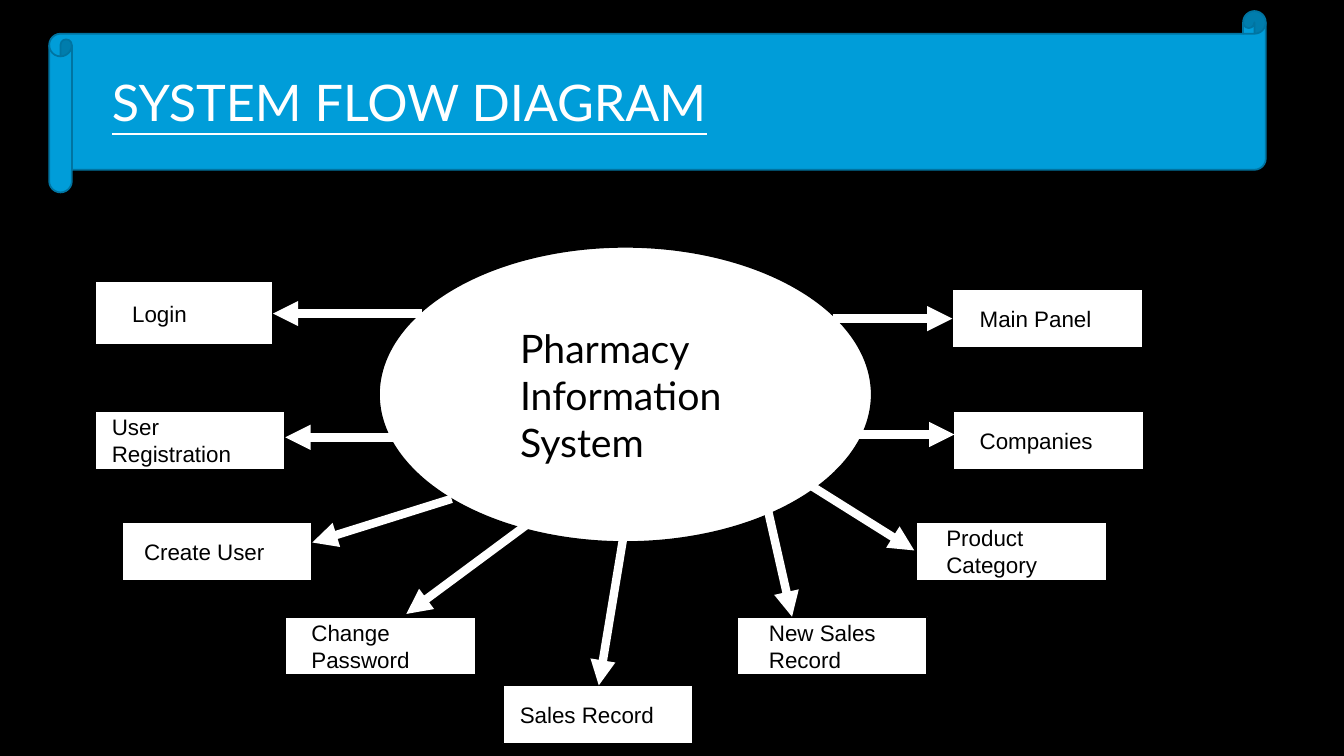
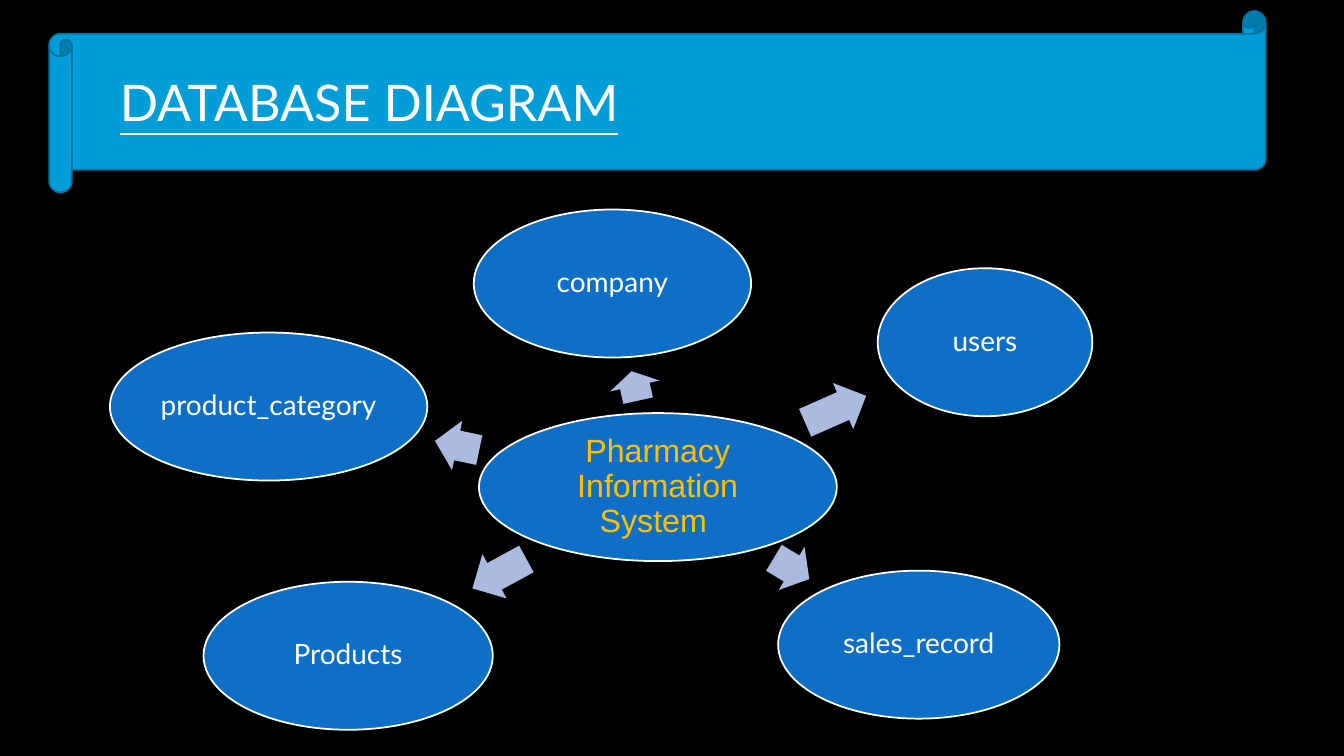
from dataclasses import dataclass
from typing import NamedTuple

from lxml import etree
from pptx import Presentation
from pptx.dml.color import RGBColor as Rgb
from pptx.enum import shapes, text
from pptx.oxml import ns
from pptx.util import Cm, Pt

Kind = shapes.MSO_SHAPE
Align = text.PP_ALIGN
Anchor = text.MSO_ANCHOR


@dataclass(frozen=True)
class Theme:
    black: Rgb = Rgb(0, 0, 0)
    white: Rgb = Rgb(255, 255, 255)
    band: Rgb = Rgb.from_string("009DD9")
    edge: Rgb = Rgb.from_string("0074A1")
    blue: Rgb = Rgb.from_string("0F6FC6")
    pale: Rgb = Rgb.from_string("ABBBDF")
    gold: Rgb = Rgb.from_string("FFC000")
    head: str = "Lato"
    body: str = "Arial"
    title: float = 36
    core: float = 28
    hub: float = 23
    table: float = 20
    label: float = 16
    thin: float = 1.25
    thick: float = 6


class Box(NamedTuple):
    x: float
    y: float
    w: float
    h: float


class Step(NamedTuple):
    """A labelled box, its left inset, and the arrow that leads to it."""
    name: str
    box: Box
    inset: float
    start: tuple[float, float]
    end: tuple[float, float]


class Node(NamedTuple):
    """A table's ellipse with the block arrow that points at it."""
    name: str
    x: float
    y: float
    w: float
    arrow: Box
    turn: float


T = Theme()
OVAL = 3.73  # height of every ellipse in the database diagram
STEP_W, STEP_H = 4.8, 1.47
ARROW_H = 1.27


def cell(x: float, y: float) -> Box:
    return Box(x, y, STEP_W, STEP_H)


def tip(x: float, y: float, w: float) -> Box:
    return Box(x, y, w, ARROW_H)


STEPS = [
    Step("Login", Box(2.39, 7.09, 4.5, 1.6), 0.94, (10.64, 7.9), (6.88, 7.9)),
    Step("User Registration", cell(2.39, 10.36), 0.43, (10.95, 11.02), (7.19, 11.02)),
    Step("Create User", cell(3.07, 13.16), 0.56, (11.38, 12.57), (7.87, 13.67)),
    Step("Change Password", cell(7.19, 15.54), 0.66, (13.36, 13.16), (10.24, 15.47)),
    Step("Sales Record", cell(12.67, 17.27), 0.43, (15.77, 13.16), (15.09, 17.27)),
    Step("New Sales Record", cell(18.57, 15.54), 0.81, (19.33, 12.75), (19.96, 15.54)),
    Step("Product Category", cell(23.09, 13.16), 0.76, (20.17, 12.07), (23.04, 13.87)),
    Step("Companies", cell(24.03, 10.36), 0.66, (21.03, 10.95), (24.05, 10.95)),
    Step("Main Panel", cell(24, 7.29), 0.69, (20.98, 8.03), (24, 8.03)),
]

NODES = [
    Node("company", 11.94, 5.28, 6.99, tip(15.62, 9.09, 0.76), 257.5),
    Node("users", 22.12, 6.76, 5.41, tip(20.22, 9.68, 1.68), 336.2),
    Node("sales_record", 19.61, 14.38, 7.09, tip(19.43, 13.69, 1.04), 31),
    Node("Products", 5.13, 14.66, 7.29, tip(11.81, 13.82, 1.55), 151.4),
    Node("product_category", 2.77, 8.38, 8, tip(10.95, 10.59, 1.14), 191.7),
]


def write(shape, words: str, *, size: float, color: Rgb, font: str = T.head,
          align=Align.LEFT, anchor=Anchor.MIDDLE, left: float = 0.25,
          right: float = 0.25, pad: float = 0.13, space: float = 1,
          under: bool = False) -> None:
    frame = shape.text_frame
    frame.text = words
    frame.word_wrap = True
    frame.auto_size = text.MSO_AUTO_SIZE.NONE
    frame.vertical_anchor = anchor
    frame.margin_left, frame.margin_right = Cm(left), Cm(right)
    frame.margin_top = frame.margin_bottom = Cm(pad)
    para = frame.paragraphs[0]
    para.alignment = align
    para.line_spacing = space
    face = para.runs[0].font
    face.name, face.size, face.underline = font, Pt(size), under
    face.color.rgb = color


def draw(slide, kind, box: Box, fill: Rgb, line: Rgb | None = None):
    shape = slide.shapes.add_shape(kind, *map(Cm, box))
    shape.shadow.inherit = False
    shape.fill.solid()
    shape.fill.fore_color.rgb = fill
    if line is None:
        shape.line.fill.background()
    else:
        shape.line.color.rgb = line
        shape.line.width = Pt(T.thin)
    return shape


def link(slide, start: tuple[float, float], end: tuple[float, float]) -> None:
    """Draw a thick straight arrow."""
    wire = slide.shapes.add_connector(
        shapes.MSO_CONNECTOR.STRAIGHT, *map(Cm, start + end))
    wire.line.color.rgb = T.white
    wire.line.width = Pt(T.thick)
    etree.SubElement(wire.line._get_or_add_ln(), ns.qn("a:tailEnd"), type="triangle")
    etree.SubElement(wire.element.spPr, ns.qn("a:effectLst"))


def begin(deck, words: str, left: float):
    """Add a slide with its title on the scroll banner."""
    slide = deck.slides.add_slide(deck.slide_layouts[5])
    scroll = draw(slide, Kind.HORIZONTAL_SCROLL, Box(1.24, 0.28, 30.66, 4.57),
                  T.band, T.edge)
    slide.shapes.element.insert(2, scroll.element)  # behind the title
    title = slide.shapes.title
    title.left, title.top, title.width, title.height = map(Cm, (left, 1.65, 25, 1.8))
    write(title, words, size=T.title, color=T.white, anchor=Anchor.TOP, under=True)
    return slide


def flow(deck) -> None:
    slide = begin(deck, "SYSTEM FLOW DIAGRAM", 2.57)
    core = draw(slide, Kind.OVAL, Box(9.55, 6.22, 12.42, 7.44), T.white, T.black)
    write(core, "Pharmacy Information System", size=T.core, color=T.black,
          left=1.74, right=0.15)
    for step in STEPS:
        box = draw(slide, Kind.RECTANGLE, step.box, T.white, T.black)
        write(box, step.name, size=T.label, color=T.black, font=T.body,
              left=step.inset, pad=0)
    for step in STEPS:
        link(slide, step.start, step.end)


def oval(slide, words: str, x: float, y: float, w: float, *, size: float = T.table,
         color: Rgb = T.white, font: str = T.head) -> None:
    shape = draw(slide, Kind.OVAL, Box(x, y, w, OVAL), T.blue, T.white)
    write(shape, words, size=size, color=color, font=font, align=Align.CENTER,
          left=0.08, right=0.08, pad=0.08, space=0.9)


def data(deck) -> None:
    slide = begin(deck, "DATABASE DIAGRAM", 2.77)
    oval(slide, "Pharmacy Information System ", 12.07, 10.41, 9.02,
         size=T.hub, color=T.gold, font=T.body)
    for node in NODES:
        arrow = draw(slide, Kind.RIGHT_ARROW, node.arrow, T.pale)
        arrow.rotation = node.turn
        arrow.adjustments[0], arrow.adjustments[1] = 0.6, 0.5
        oval(slide, node.name, node.x, node.y, node.w)


def main() -> None:
    deck = Presentation()
    deck.slide_width, deck.slide_height = Cm(33.87), Cm(19.05)
    back = deck.slide_master.background.fill
    back.solid()
    back.fore_color.rgb = T.black
    flow(deck)
    data(deck)
    deck.save("out.pptx")


if __name__ == "__main__":
    main()
